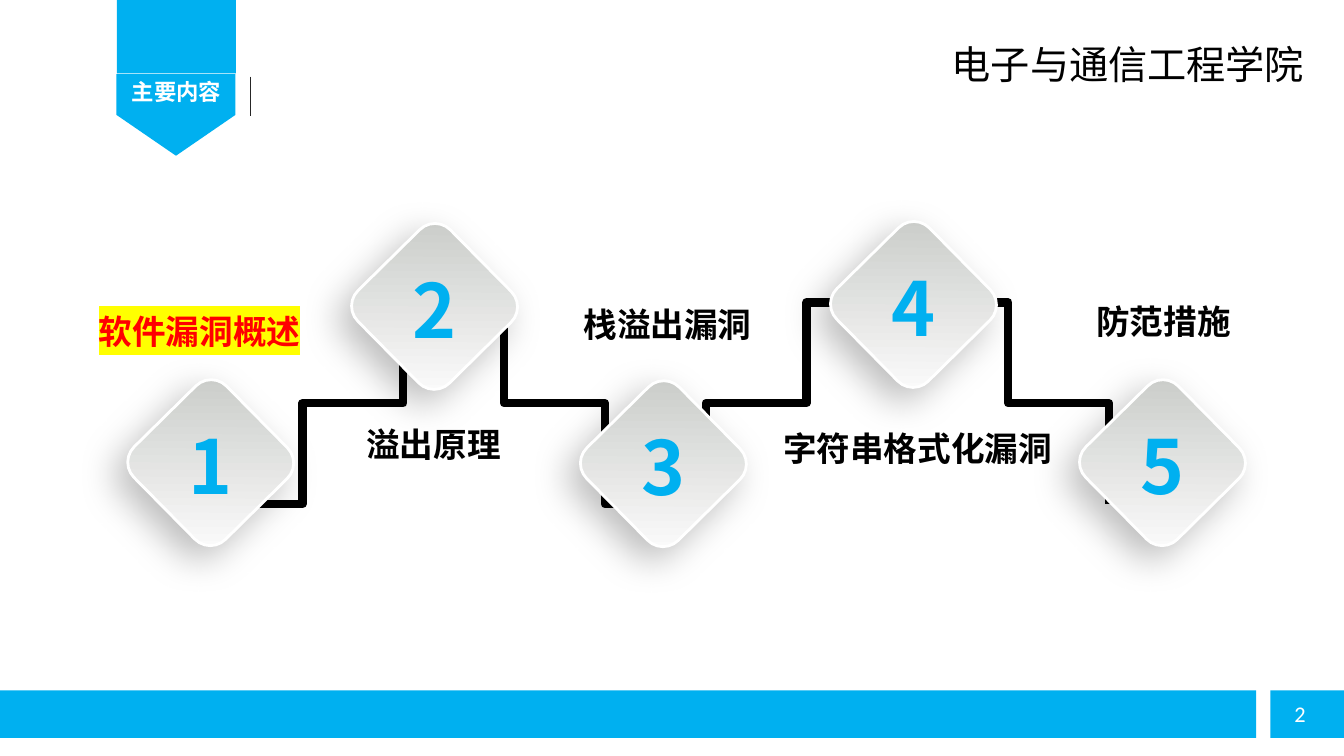
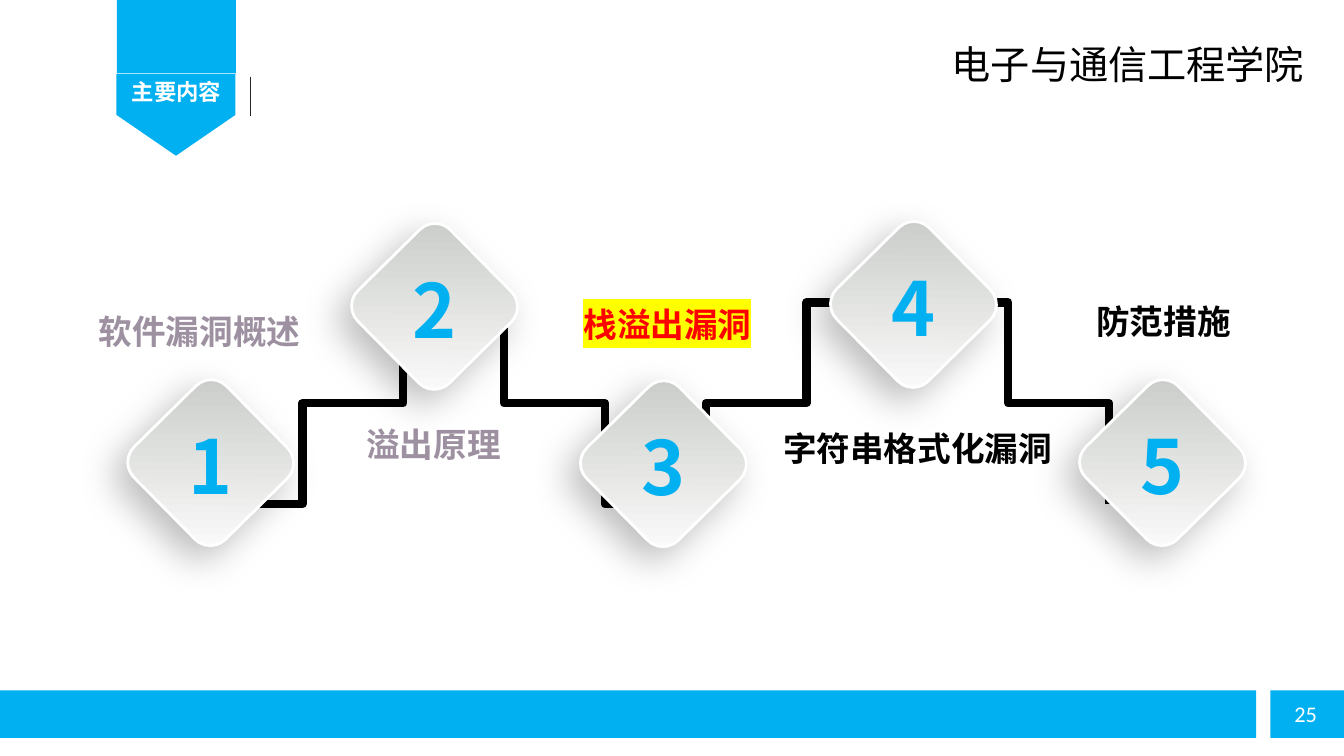
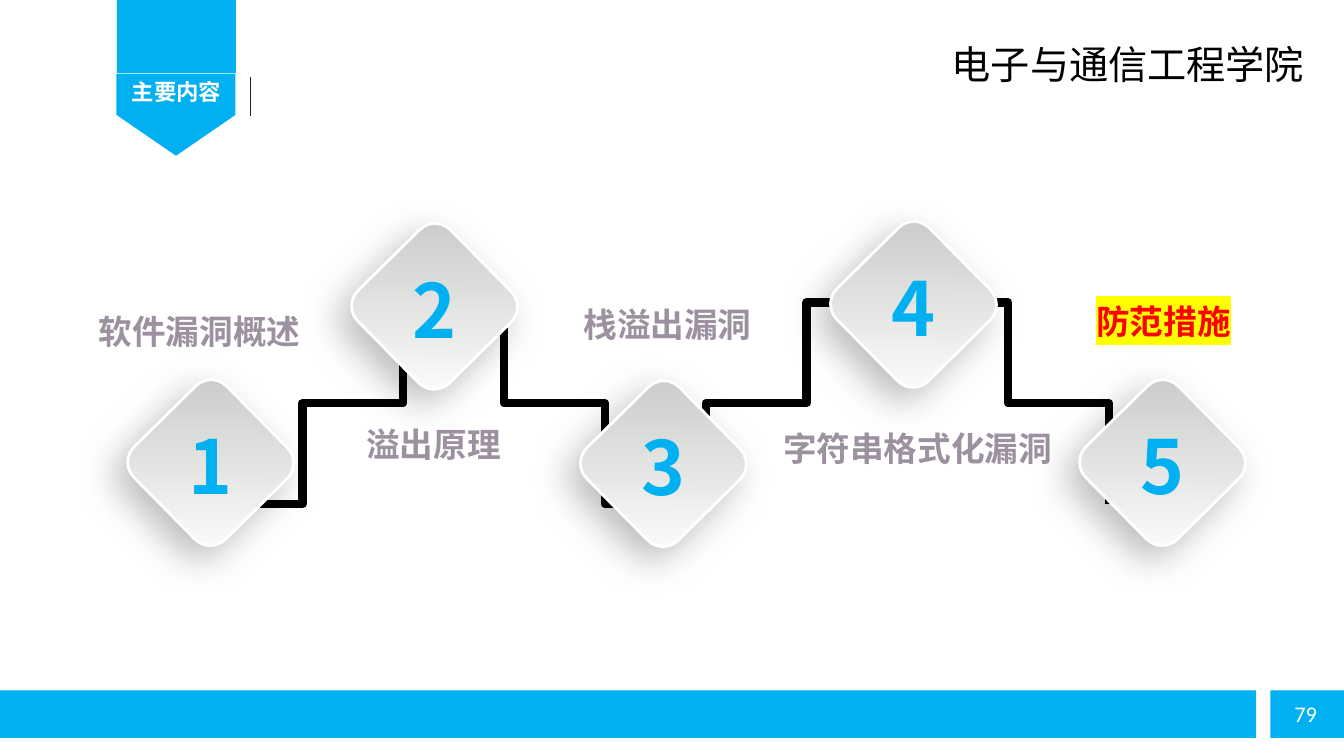
"""Build three agenda slides that mark the current chapter."""
from dataclasses import dataclass
from lxml.etree import SubElement as Sub
from pptx import Presentation
from pptx.dml.color import RGBColor as Rgb
from pptx.enum.shapes import MSO_CONNECTOR as Link, MSO_SHAPE as Kind
from pptx.enum.text import MSO_ANCHOR as Anchor, MSO_AUTO_SIZE as Fit, PP_ALIGN as Align
from pptx.oxml.ns import qn
from pptx.util import Inches, Pt

WIDE, HIGH = 13.33, 7.5
HEAD = "主要内容"
SCHOOL = "电子与通信工程学院"
STEPS = [
    ("软件漏洞概述", (2.09, 4.59), (1.98, 3.04)),
    ("溢出原理", (4.31, 3.04), (4.3, 4.16)),
    ("栈溢出漏洞", (6.58, 4.6), (6.62, 2.97)),
    ("字符串格式化漏洞", (9.06, 3.02), (9.1, 4.2)),
    ("防范措施", (11.53, 4.59), (11.54, 2.94)),
]
PAGES = [("2", 0), ("25", 2), ("79", 4)]
START = (2.09, 4.69)
CURVES = [
    ((2.77, 4.7), (3.53, 3.14), (4.28, 3.14)),
    ((5.03, 3.14), (5.86, 4.69), (6.59, 4.7)),
    ((7.34, 4.68), (8.19, 3.06), (8.93, 3.05)),
    ((9.65, 3.05), (11.21, 4.61), (11.21, 4.59)),
]
TILE, LABEL, DIGIT = 1.29, (2.87, 0.5), (0.66, 1)
RIBBON = (1.16, 1.18)
BAND = (6.85, 0.47)


@dataclass(frozen=True)
class Theme:
    """Colours, fonts and type sizes."""
    blue: str = "00B0F0"
    white: str = "FFFFFF"
    black: str = "000000"
    rule: str = "262626"
    done: str = "9D90A0"
    now: str = "FF0000"
    mark: str = "FFFF00"
    dark: str = "C9CBC8"
    light: str = "FCFCFC"
    sans: str = "Calibri"
    plain: str = "Arial"
    cjk: str = "Noto Sans CJK SC"
    small: float = 16
    body: float = 24
    large: float = 28
    huge: float = 53.3


T = Theme()


def color(code):
    """Turn a hex code into a colour."""
    return Rgb.from_string(code)


def place(box):
    """Convert a box from inches."""
    return [Inches(side) for side in box]


def write(frame, text, size, tint, font, bold=False, mark=None,
          align=Align.CENTER, wrap=True, pad=(0.1, 0.05), anchor=Anchor.TOP,
          fit=Fit.SHAPE_TO_FIT_TEXT):
    """Fill a text frame with one formatted run."""
    frame.word_wrap, frame.auto_size, frame.vertical_anchor = wrap, fit, anchor
    frame.margin_left = frame.margin_right = Inches(pad[0])
    frame.margin_top = frame.margin_bottom = Inches(pad[1])
    para = frame.paragraphs[0]
    para.alignment = align
    run = para.add_run()
    run.text = text
    face = run.font
    face.size, face.bold, face.name = Pt(size), bold, font
    face.color.rgb = color(tint)
    props = run._r.get_or_add_rPr()
    east = Sub(props, qn("a:ea"), typeface=font)
    props.find(qn("a:latin")).addnext(east)
    if mark:
        glow = Sub(props, qn("a:highlight"))
        Sub(glow, qn("a:srgbClr"), val=mark)
        props.find(qn("a:solidFill")).addnext(glow)


def label(slide, box, text, *args, **style):
    """Add a text box."""
    write(slide.shapes.add_textbox(*place(box)).text_frame, text, *args, **style)


def block(slide, kind, box, turn=0):
    """Add a plain blue shape."""
    shape = slide.shapes.add_shape(kind, *place(box))
    shape.shadow.inherit = False
    shape.fill.solid()
    shape.fill.fore_color.rgb = color(T.blue)
    shape.line.fill.background()
    shape.rotation = turn
    return shape


def frame(slide, page):
    """Draw the ribbon, title, footer and school name."""
    left, width = RIBBON
    top, tall = BAND
    block(slide, Kind.PENTAGON, (1.34, 0.55, 0.81, width), 90)
    block(slide, Kind.RECTANGLE, (left, 0, width, 0.73))
    rule = slide.shapes.add_connector(Link.STRAIGHT, *place((2.48, 0.76, 2.48, 1.15)))
    rule.line.color.rgb, rule.line.width = color(T.rule), Pt(0.75)
    Sub(rule._element.spPr, qn("a:effectLst"))
    for start, end in ((0, 12.46), (12.6, WIDE)):
        block(slide, Kind.RECTANGLE, (start, top, end - start, tall))
    label(slide, (12.74, 6.9, 0.46, 0.37), page, T.small, T.white, T.sans,
          align=Align.LEFT, wrap=False)
    title = slide.shapes.title
    title.left, title.top, title.width, title.height = place((left, 0.77, width, 0.27))
    write(title.text_frame, HEAD, T.small, T.white, T.sans, bold=True,
          pad=(0, 0), anchor=Anchor.MIDDLE, fit=Fit.NONE)
    slide.shapes._spTree.append(title._element)
    label(slide, (9.39, 0.37, 3.6, 0.52), SCHOOL, T.large, T.black, T.plain,
          align=Align.LEFT, wrap=False, pad=(0.05, 0.03))


def trace(count=24):
    """Return points along the joined cubic curves."""
    points, last = [], START
    for one, two, end in CURVES:
        for step in range(1, count + 1):
            t = step / count
            u = 1 - t
            points.append(tuple(
                u**3 * a + 3 * u * u * t * b + 3 * u * t * t * c + t**3 * d
                for a, b, c, d in zip(last, one, two, end)))
        last = end
    return points


def wave(slide):
    """Draw the black line behind the tiles."""
    pen = slide.shapes.build_freeform(*START, scale=Inches(1))
    pen.add_line_segments(trace(), close=False)
    path = pen.convert_to_shape()
    path.shadow.inherit = False
    path.fill.background()
    path.line.color.rgb, path.line.width = color(T.black), Pt(6)


def tile(slide, mid, digit):
    """Draw a numbered diamond with a soft shadow."""
    x, y = mid
    shape = block(slide, Kind.ROUNDED_RECTANGLE,
                  (x - TILE / 2, y - TILE / 2, TILE, TILE), 315.4)
    shape.fill.gradient()
    shape.fill.gradient_angle = 225
    for stop, tint, spot in zip(shape.fill.gradient_stops, (T.dark, T.light), (0, 1)):
        stop.color.rgb, stop.position = color(tint), spot
    shape.line.color.rgb, shape.line.width = color(T.white), Pt(2)
    cast = Sub(shape._element.spPr.find(qn("a:effectLst")), qn("a:outerShdw"),
               blurRad=str(Pt(27)), dist=str(Pt(12)), dir=str(135 * 60000),
               algn="ctr", rotWithShape="0")
    Sub(Sub(cast, qn("a:srgbClr"), val=T.black), qn("a:alpha"), val="26000")
    wide, tall = DIGIT
    label(slide, (x - wide / 2, y - 0.47, wide, tall), digit, T.huge, T.blue,
          T.cjk, bold=True, wrap=False)


def agenda(slide, now):
    """Draw all steps and mark the current one."""
    wave(slide)
    wide, tall = LABEL
    for spot, (name, mid, (x, top)) in enumerate(STEPS):
        tint = T.now if spot == now else T.done if spot < now else T.black
        label(slide, (x - wide / 2, top, wide, tall), name, T.body, tint, T.cjk,
              bold=True, mark=T.mark if spot == now else None)
        tile(slide, mid, str(spot + 1))


def main():
    """Build and save the deck."""
    deck = Presentation()
    deck.slide_width, deck.slide_height = Inches(WIDE), Inches(HIGH)
    for page, now in PAGES:
        slide = deck.slides.add_slide(deck.slide_layouts[5])
        frame(slide, page)
        agenda(slide, now)
    deck.save("out.pptx")


if __name__ == "__main__":
    main()
